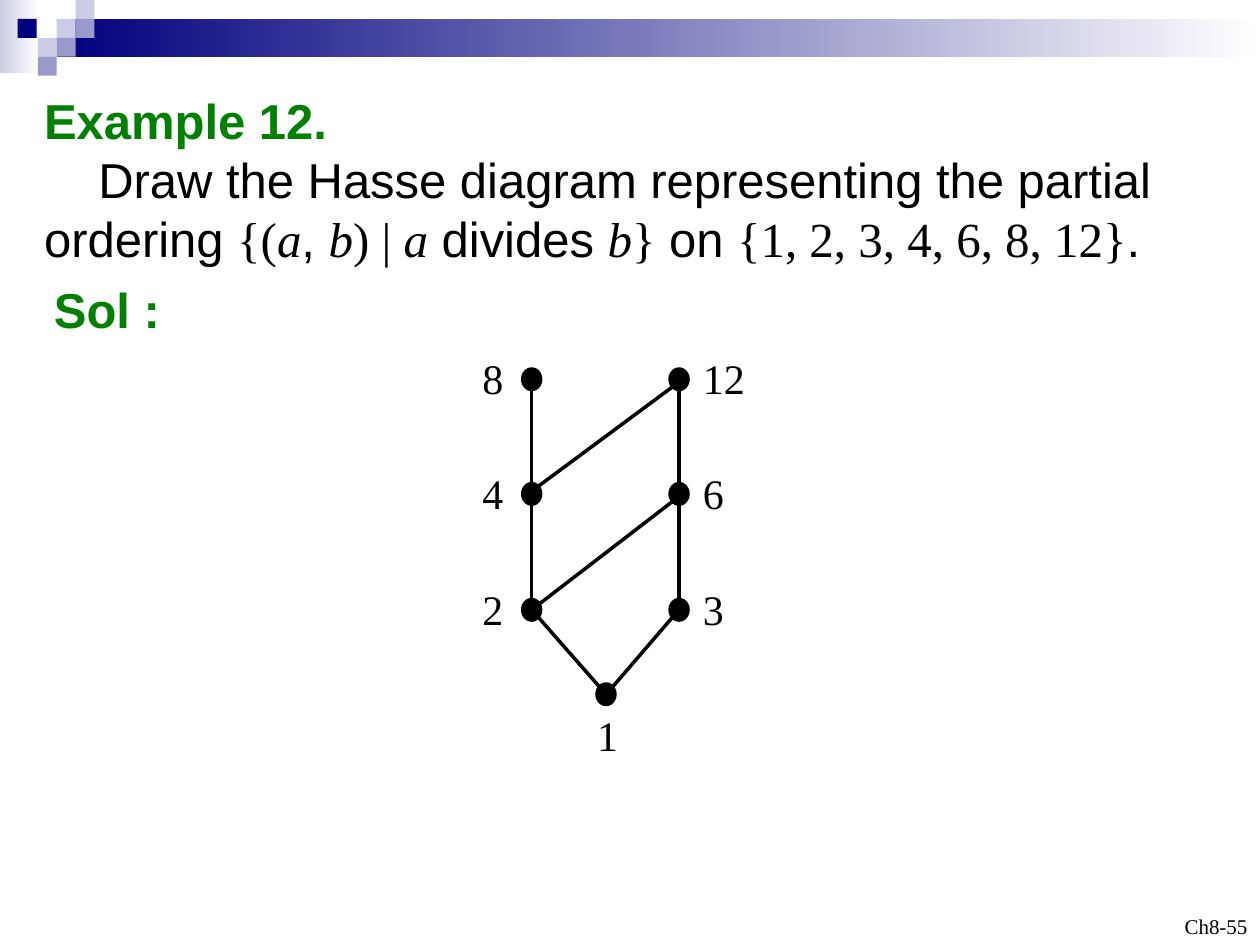
from dataclasses import dataclass
from math import sqrt

from lxml import etree
from pptx import Presentation
from pptx import util as u
from pptx.dml.color import RGBColor
from pptx.enum import shapes, text
from pptx.oxml.ns import qn

PX = 9144  # EMU, 100 px to the inch

BLACK = RGBColor(0x00, 0x00, 0x00)
WHITE = RGBColor(0xFF, 0xFF, 0xFF)
GREEN = RGBColor(0x00, 0x80, 0x00)
NAVY = RGBColor(0x00, 0x00, 0x7D)
LILAC = RGBColor(0x99, 0x99, 0xCC)
PALE = RGBColor(0xCC, 0xCC, 0xE6)
SANS, SERIF = "Arial", "Times New Roman"

TILE = 15
DOT_WIDTH, DOT_HEIGHT = 16, 18
LEFT, MIDDLE, RIGHT = 422, 481, 539
# Label box offset from the dot's centre, by column
LABEL_OFFSETS = {LEFT: (-49, -26), MIDDLE: (-17, 7), RIGHT: (9, -26)}


@dataclass(frozen=True)
class Run:
    words: str
    name: str = SERIF
    size: int = 28
    bold: bool = False
    italic: bool = False
    color: RGBColor = BLACK


@dataclass(frozen=True)
class Tile:
    left: int
    top: int
    color: RGBColor


@dataclass(frozen=True)
class Node:
    x: int
    y: int
    label_width: int = 37


@dataclass(frozen=True)
class Cover:
    upper: str
    lower: str
    to_centre: bool = False


TILES = [
    Tile(45, 15, PALE), Tile(60, 0, PALE), Tile(60, 15, LILAC), Tile(30, 30, PALE),
    Tile(14, 15, NAVY), Tile(45, 30, LILAC), Tile(30, 45, LILAC),
]
NODES = {
    "1": Node(MIDDLE, 551),
    "2": Node(LEFT, 484), "3": Node(RIGHT, 484),
    "4": Node(LEFT, 392), "6": Node(RIGHT, 392),
    "8": Node(LEFT, 301), "12": Node(RIGHT, 301, 54),
}
COVERS = [
    Cover("2", "1"), Cover("3", "1"), Cover("4", "2"), Cover("8", "4"),
    Cover("6", "3"), Cover("6", "2", to_centre=True), Cover("12", "6"), Cover("12", "4"),
]
HEADING = Run("Example 12.", SANS, bold=True, color=GREEN)
QUESTION = [
    Run("Draw the Hasse diagram representing the partial ordering ", SANS),
    Run("{("), Run("a", italic=True), Run(", ", SANS), Run("b", italic=True),
    Run(") | "), Run("a", italic=True), Run(" divides ", SANS),
    Run("b", italic=True), Run("}"), Run(" on ", SANS),
    Run("{1, 2, 3, 4, 6, 8, 12}"), Run(".", SANS),
]


def px(*lengths: float) -> list[u.Emu]:
    return [u.Emu(round(length * PX)) for length in lengths]


def set_attributes(target, values: dict) -> None:
    for name, value in values.items():
        setattr(target, name, value)


def add_runs(paragraph, runs: list[Run]) -> None:
    for item in runs:
        run = paragraph.add_run()
        run.text = item.words
        set_attributes(run.font, {
            "name": item.name, "size": u.Pt(item.size),
            "bold": item.bold, "italic": item.italic,
        })
        run.font.color.rgb = item.color


def add_text(slide, box: tuple[int, int, int, int], run: Run):
    """Add a one-line text box that grows with its text."""
    shape = slide.shapes.add_textbox(*px(*box))
    set_attributes(shape.text_frame, {
        "word_wrap": False, "auto_size": text.MSO_AUTO_SIZE.SHAPE_TO_FIT_TEXT,
    })
    add_runs(shape.text_frame.paragraphs[0], [run])
    return shape


def add_filled(slide, kind, box: tuple[int, int, int, int], *colors: RGBColor):
    """Add a borderless shape: one colour is solid, two run left to right."""
    shape = slide.shapes.add_shape(kind, *px(*box))
    shape.shadow.inherit = False
    shape.line.fill.background()
    if len(colors) == 1:
        shape.fill.solid()
        shape.fill.fore_color.rgb = colors[0]
    else:
        shape.fill.gradient()
        shape.fill.gradient_angle = 0
        for stop, color in zip(shape.fill.gradient_stops, colors):
            stop.color.rgb = color
    return shape


def add_banner(slide) -> None:
    rectangle = shapes.MSO_SHAPE.RECTANGLE
    add_filled(slide, rectangle, (0, 0, 31, 58), PALE, WHITE)
    add_filled(slide, rectangle, (45, 15, 955, 30), NAVY, WHITE)
    for tile in TILES:
        add_filled(slide, rectangle, (tile.left, tile.top, TILE, TILE), tile.color)


def add_question(slide) -> None:
    title = slide.shapes.title
    set_attributes(title, dict(zip(("left", "top", "width", "height"),
                                   px(25, 67, 975, 151))))
    frame = title.text_frame
    set_attributes(frame, {
        "word_wrap": True, "vertical_anchor": text.MSO_ANCHOR.TOP,
        "auto_size": text.MSO_AUTO_SIZE.SHAPE_TO_FIT_TEXT,
    })
    heading, question = frame.paragraphs[0], frame.add_paragraph()
    for paragraph, runs in ((heading, [HEADING]), (question, QUESTION)):
        paragraph.alignment = text.PP_ALIGN.LEFT
        add_runs(paragraph, runs)
    properties = question._p.get_or_add_pPr()
    properties.set("marL", "0")
    properties.set("indent", str(43 * PX))


def add_cover(slide, cover: Cover) -> None:
    """Join two dots from rim to rim, straight down or on the diagonal."""
    upper, lower = NODES[cover.upper], NODES[cover.lower]
    side = (lower.x > upper.x) - (lower.x < upper.x)
    reach = 1 / sqrt(2) if side else 1
    dx, dy = side * reach * DOT_WIDTH / 2, reach * DOT_HEIGHT / 2
    end = (lower.x, lower.y) if cover.to_centre else (lower.x - dx, lower.y - dy)
    line = slide.shapes.add_connector(
        shapes.MSO_CONNECTOR.STRAIGHT, *px(upper.x + dx, upper.y + dy, *end))
    line.line.color.rgb = BLACK
    line.line.width = u.Pt(2)
    etree.SubElement(line._element.spPr, qn("a:effectLst"))


def add_node(slide, label: str, node: Node) -> None:
    box = (node.x - DOT_WIDTH // 2, node.y - DOT_HEIGHT // 2, DOT_WIDTH, DOT_HEIGHT)
    dot = add_filled(slide, shapes.MSO_SHAPE.OVAL, box, BLACK)
    dot.line.color.rgb = BLACK
    dot.line.width = u.Pt(0.75)
    dx, dy = LABEL_OFFSETS[node.x]
    add_text(slide, (node.x + dx, node.y + dy, node.label_width, 50),
             Run(label, size=24))


def add_page_label(slide) -> None:
    shape = add_text(slide, (767, 700, 233, 50), Run("Ch8-55", size=12))
    set_attributes(shape.text_frame, {
        "word_wrap": True, "auto_size": text.MSO_AUTO_SIZE.NONE,
        "vertical_anchor": text.MSO_ANCHOR.BOTTOM,
    })
    shape.text_frame.paragraphs[0].alignment = text.PP_ALIGN.RIGHT


def main() -> None:
    presentation = Presentation()
    presentation.slide_width, presentation.slide_height = px(1000, 750)
    slide = presentation.slides.add_slide(presentation.slide_layouts[5])
    add_banner(slide)
    add_page_label(slide)
    add_question(slide)
    add_text(slide, (33, 217, 115, 57), Run("Sol :", SANS, bold=True, color=GREEN))
    for cover in COVERS:
        add_cover(slide, cover)
    for label, node in NODES.items():
        add_node(slide, label, node)
    presentation.save("out.pptx")


if __name__ == "__main__":
    main()
